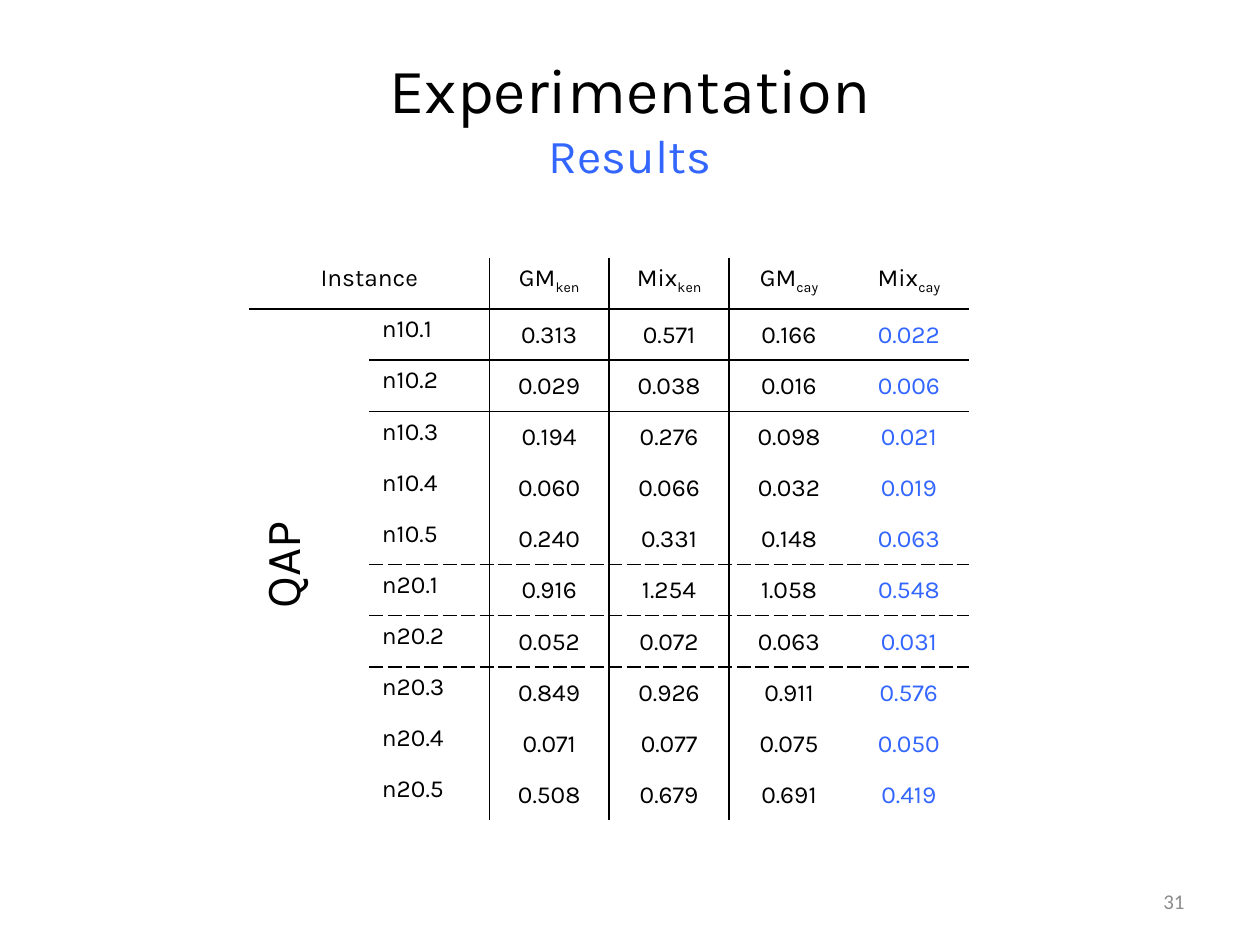
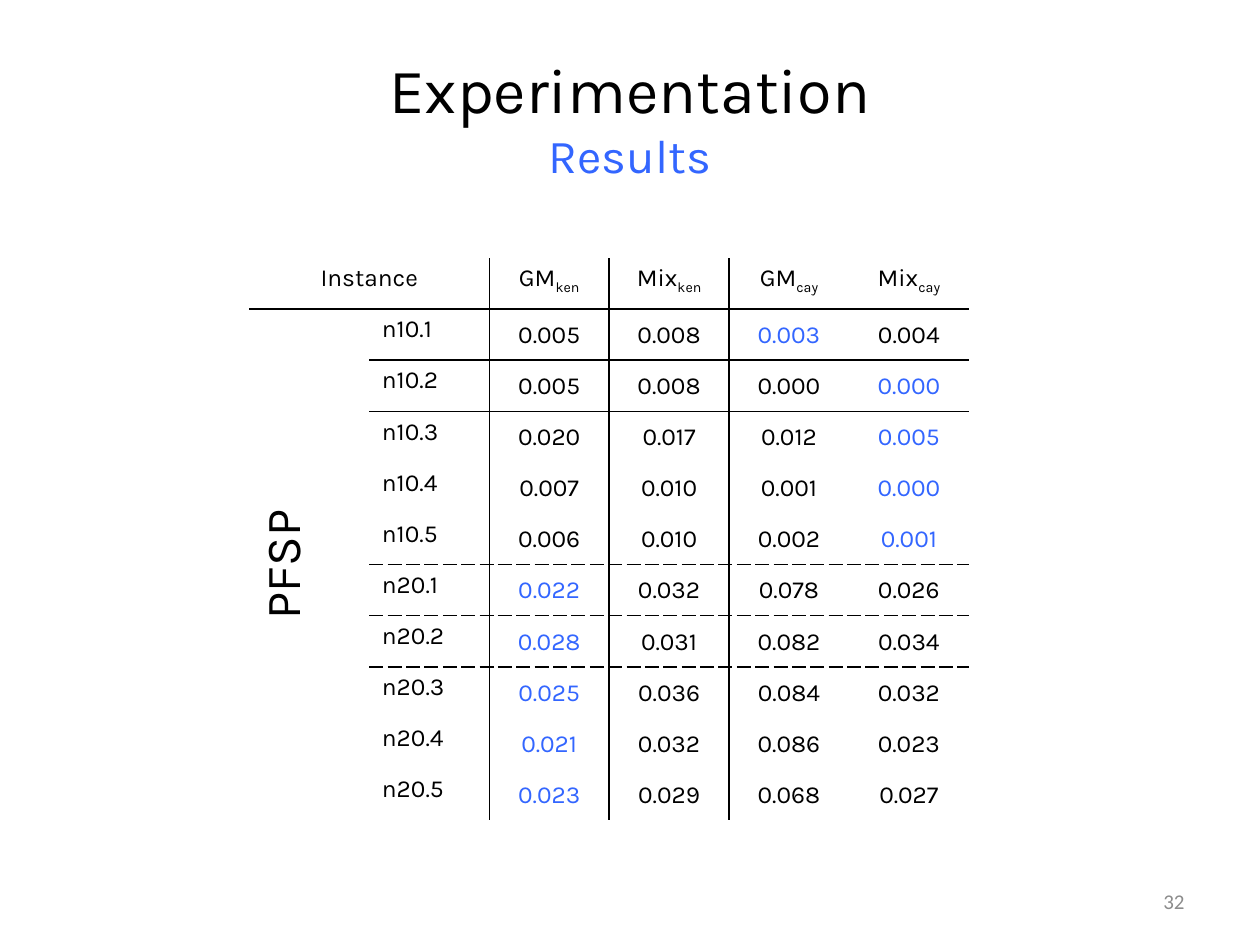
from dataclasses import dataclass
from itertools import product

from lxml.etree import SubElement
from pptx import Presentation
from pptx.dml.color import RGBColor
from pptx.enum.text import MSO_ANCHOR, PP_ALIGN
from pptx.oxml.ns import qn
from pptx.util import Inches, Pt


@dataclass(frozen=True)
class Theme:
    ink: str = "000000"
    accent: str = "3366FF"
    muted: str = "8C8C8C"
    face: str = "Karla"
    number_face: str = "Calibri"
    title: int = 36
    subtitle: int = 27
    problem: int = 28
    body: int = 14
    number: int = 12
    rule: int = 1


T = Theme()
WIDTH, HEIGHT = 10, 7.5
TITLE_BOX = (0.05, 0.04, 0.9, 0.167)
NUMBER_BOX = (0.717, 0.927, 0.233, 0.053)
TABLE_BOX = (0.198, 0.273, 0.571, 0.595)

NO_STYLE = "{2D5ABB26-0587-4C30-8999-92F81FD0307C}"
HEADINGS = [("GM", "ken"), ("Mix", "ken"), ("GM", "cay"), ("Mix", "cay")]
INSTANCES = [f"n{size}.{k}" for size, k in product((10, 20), range(1, 6))]
LABEL_COLS = 2
COLUMN_RULES = {2, 3}
ROW_RULES = {1: "solid", 2: "solid", 6: "sysDash", 7: "sysDash"}
VALUE_CELL = dict(vertical_anchor=MSO_ANCHOR.MIDDLE, margin_left=Inches(0.01),
                  margin_right=Inches(0.01), margin_top=Inches(0.01), margin_bottom=0)

RESULTS = [
    ("QAP", 31, """
        0.313 0.571 0.166 0.022
        0.029 0.038 0.016 0.006
        0.194 0.276 0.098 0.021
        0.060 0.066 0.032 0.019
        0.240 0.331 0.148 0.063
        0.916 1.254 1.058 0.548
        0.052 0.072 0.063 0.031
        0.849 0.926 0.911 0.576
        0.071 0.077 0.075 0.050
        0.508 0.679 0.691 0.419"""),
    ("PFSP", 32, """
        0.005 0.008 0.003 0.004
        0.005 0.008 0.000 0.000
        0.020 0.017 0.012 0.005
        0.007 0.010 0.001 0.000
        0.006 0.010 0.002 0.001
        0.022 0.032 0.078 0.026
        0.028 0.031 0.082 0.034
        0.025 0.036 0.084 0.032
        0.021 0.032 0.086 0.023
        0.023 0.029 0.068 0.027"""),
]


def place(box):
    return [Inches(share * side) for share, side in zip(box, (WIDTH, HEIGHT) * 2)]


def set_all(obj, values):
    for name, value in values.items():
        setattr(obj, name, value)


def add_run(p, text, size=T.body, color=T.ink, face=T.face, baseline=0):
    r = p.add_run()
    r.text = text
    set_all(r.font, dict(size=Pt(size), name=face))
    r.font.color.rgb = RGBColor.from_string(color)
    if baseline:
        r.font._element.set("baseline", str(baseline * 1000))


def add_text_box(s, box, align):
    tf = s.shapes.add_textbox(*place(box)).text_frame
    set_all(tf, dict(word_wrap=True, vertical_anchor=MSO_ANCHOR.MIDDLE))
    p = tf.paragraphs[0]
    p.alignment = align
    return p


def add_title(s, box):
    p = add_text_box(s, box, PP_ALIGN.CENTER)
    add_run(p, "Experimentation", T.title)
    p.add_line_break()
    add_run(p, "Results", T.subtitle, T.accent)


def add_number(s, box, number):
    p = add_text_box(s, box, PP_ALIGN.RIGHT)
    add_run(p, str(number), T.number, T.muted, T.number_face)


def add_border(cell, side, dash):
    ln = SubElement(cell._tc.get_or_add_tcPr(), qn(f"a:ln{side}"), w=str(Pt(T.rule)))
    fill = SubElement(ln, qn("a:solidFill"))
    SubElement(fill, qn("a:srgbClr"), val=T.ink)
    SubElement(ln, qn("a:prstDash"), val=dash)


def rule_cell(cell, row, col):
    for side, edge in (("L", col), ("R", col + 1)):
        if edge in COLUMN_RULES:
            add_border(cell, side, "solid")
    for side, edge in (("T", row), ("B", row + 1)):
        if edge in ROW_RULES and (col > 0 or edge == 1):
            add_border(cell, side, ROW_RULES[edge])
    cell.fill.background()


def write_cell(cell, text, align=PP_ALIGN.CENTER, **style):
    p = cell.text_frame.paragraphs[0]
    p.alignment = align
    add_run(p, text, **style)
    return p


def add_results(s, box, problem, values):
    n_rows, n_cols = len(INSTANCES) + 1, LABEL_COLS + len(HEADINGS)
    table = s.shapes.add_table(n_rows, n_cols, *place(box)).table
    set_all(table, dict(first_row=False, horz_banding=False))
    table._tbl.tblPr.find(qn("a:tableStyleId")).text = NO_STYLE
    for row, col in product(range(n_rows), range(n_cols)):
        rule_cell(table.cell(row, col), row, col)

    table.cell(0, 0).merge(table.cell(0, LABEL_COLS - 1))
    write_cell(table.cell(0, 0), "Instance")
    for col, (name, metric) in enumerate(HEADINGS, LABEL_COLS):
        p = write_cell(table.cell(0, col), name)
        add_run(p, metric, baseline=-25)

    side = table.cell(1, 0)
    side.merge(table.cell(n_rows - 1, 0))
    side.vertical_anchor = MSO_ANCHOR.MIDDLE
    side._tc.get_or_add_tcPr().set("vert", "vert270")
    write_cell(side, problem, size=T.problem)

    for row, (instance, line) in enumerate(zip(INSTANCES, values.split("\n")[1:]), 1):
        write_cell(table.cell(row, 1), instance, PP_ALIGN.LEFT)
        numbers = line.split()
        best = max(i for i, v in enumerate(numbers) if v == min(numbers))
        for i, value in enumerate(numbers):
            cell = table.cell(row, LABEL_COLS + i)
            set_all(cell, VALUE_CELL)
            write_cell(cell, value, color=T.accent if i == best else T.ink)


def add_results_slide(prs, problem, number, values):
    s = prs.slides.add_slide(prs.slide_layouts[6])
    add_title(s, TITLE_BOX)
    add_number(s, NUMBER_BOX, number)
    add_results(s, TABLE_BOX, problem, values)


def main():
    prs = Presentation()
    set_all(prs, dict(slide_width=Inches(WIDTH), slide_height=Inches(HEIGHT)))
    for problem, number, values in RESULTS:
        add_results_slide(prs, problem, number, values)
    prs.save("out.pptx")


if __name__ == "__main__":
    main()
